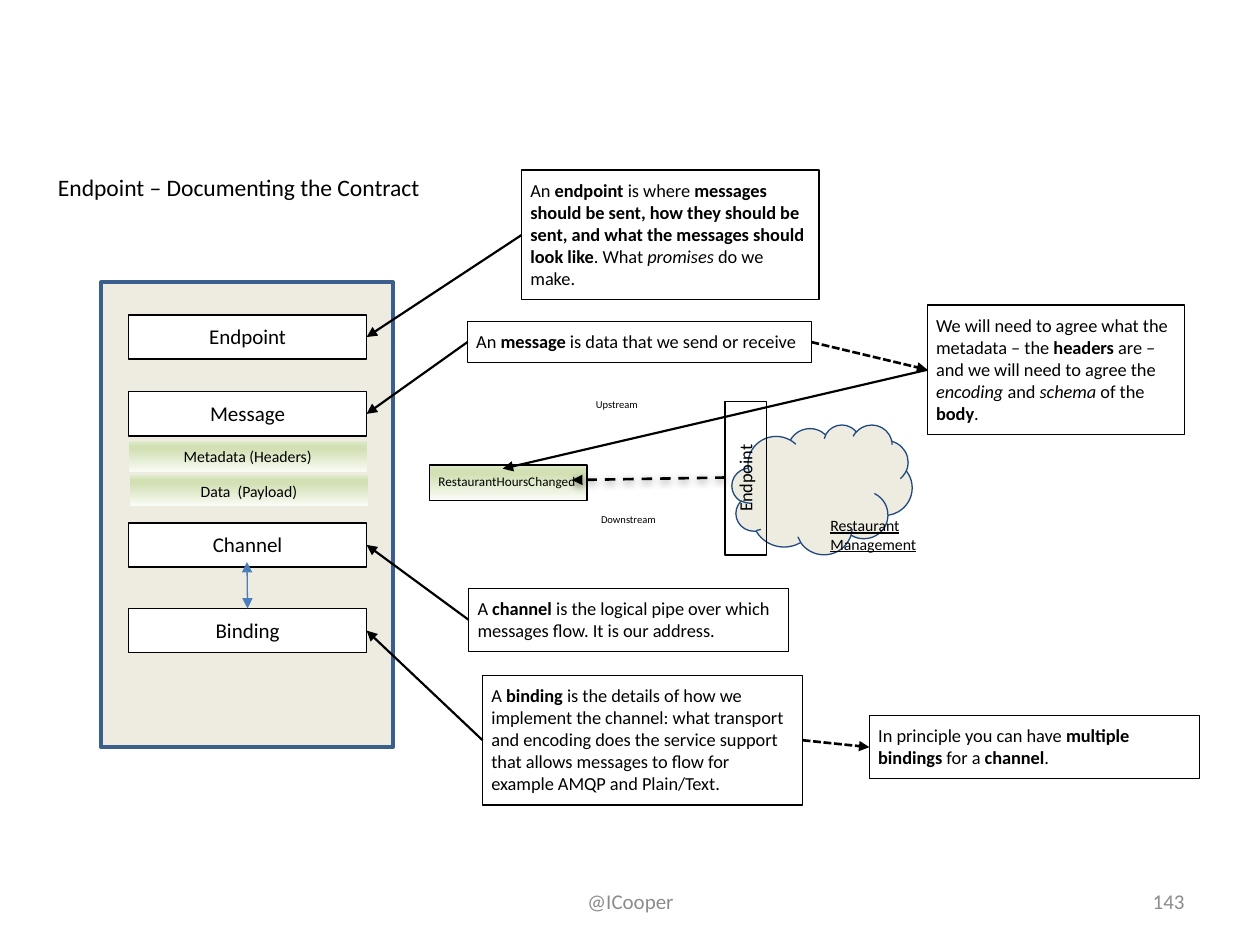
from dataclasses import dataclass
from typing import Optional

import pptx
import pptx.dml.color
import pptx.enum.dml
import pptx.enum.shapes
import pptx.enum.text
import pptx.oxml
import pptx.oxml.ns
import pptx.util
from lxml import etree

COLORS = {"ink": "000000", "paper": "FFFFFF", "panel": "EEECE1", "panel_edge": "3A5F8C",
          "cloud_edge": "1F497D", "link": "4B7EBC", "footer": "8C8C8C"}
BAND_STOPS = [(0, "FAFCF7"), (74, "D2E0B4"), (83, "D2E0B4"), (100, "E1EBCD")]
WIDTH, HEIGHT = pptx.util.Inches(10), pptx.util.Inches(7.5)
COLUMN, ROW = WIDTH / 100, HEIGHT / 75
INSET = pptx.util.Inches(0.07)
FONT = "Calibri"

SHAPE = pptx.enum.shapes.MSO_SHAPE
ALIGN = pptx.enum.text.PP_ALIGN
ANCHOR = pptx.enum.text.MSO_ANCHOR
DASH = pptx.enum.dml.MSO_LINE
TOP, LEFT, RIGHT = 0, 1, 3


@dataclass
class Box:
    """A shape placed in grid columns and rows; *bold* and _italic_ mark its text."""
    at: tuple[float, float, float, float]
    text: str = ""
    size: float = 10.5
    align: ALIGN = ALIGN.LEFT
    fill: Optional[str] = None
    line: Optional[str] = "ink"
    weight: float = 0.75
    kind: SHAPE = SHAPE.RECTANGLE
    rotation: float = 0
    underline: bool = False
    color: str = "ink"
    anchor: ANCHOR = ANCHOR.TOP
    inset: bool = True


@dataclass
class Arrow:
    """An arrow whose ends are a grid point or a (box name, side) pair."""
    start: tuple
    end: tuple
    weight: float = 1.25
    dash: Optional[DASH] = None
    color: str = "ink"
    both_ends: bool = False
    shadow: bool = False


def stage(row: float, name: str) -> Box:
    return Box((10.2, row, 18.9, 3.5), name, 12, ALIGN.CENTER, "paper")


def band(column: float, row: float, name: str) -> Box:
    return Box((column, row, 18.9, 2.5), name, 9, ALIGN.CENTER, "band", None, inset=False)


def label(at: tuple, text: str, size: float, **options) -> Box:
    return Box(at, text, size, line=None, **options)


def footer(at: tuple, text: str, align: ALIGN) -> Box:
    return label(at, text, 12, align=align, color="footer", anchor=ANCHOR.MIDDLE, inset=False)


BOXES = {
    "panel": Box((8, 22.4, 23.2, 36.9), fill="panel", line="panel_edge", weight=2),
    "cloud": Box((58.1, 33.7, 14.3, 10.3), fill="panel", line="cloud_edge", kind=SHAPE.CLOUD),
    "cloud name": label((65.2, 40.2, 9.8, 4.5), "Restaurant Management", 9, underline=True),
    "event": Box((34.1, 36.9, 12.5, 2.8), "RestaurantHoursChanged", 7.5, fill="band"),
    "upstream": label((46.6, 31.1, 5.4, 2.5), "Upstream", 6),
    "downstream": label((47, 40.2, 6.2, 2.5), "Downstream", 6),
    "endpoint": stage(25, "Endpoint"),
    "message": stage(31.1, "Message"),
    "channel": stage(41.5, "Channel"),
    "binding": stage(48.3, "Binding"),
    "metadata": band(10.2, 35, "Metadata (Headers)"),
    "data": band(10.3, 37.7, "Data  (Payload)"),
    "cloud endpoint": Box((53.1, 36.3, 12.2, 3.3), "Endpoint", align=ALIGN.CENTER, rotation=270),
    "endpoint note": Box((41.4, 13.5, 23.6, 10.3),
                         "An *endpoint *is where* messages should be sent, how they should be sent, "
                         "and what the messages should look like*. What _promises_ do we make."),
    "message note": Box((37.1, 25.5, 27.3, 3.3), "An *message *is data that we send or receive"),
    "channel note": Box((37.2, 46.7, 25.4, 5),
                        "A *channel *is the logical pipe over which messages flow. It is our address."),
    "binding note": Box((38.3, 53.6, 25.4, 10.3),
                        "A *binding *is the details of how we implement the channel: what transport "
                        "and encoding does the service support that allows messages to flow for "
                        "example AMQP and Plain/Text."),
    "bindings note": Box((69, 56.8, 26.2, 5),
                         "In principle you can have *multiple bindings* for a *channel*."),
    "headers note": Box((73.6, 24.2, 20.4, 10.3),
                        "We will need to agree what the metadata – the *headers* are – and we will "
                        "need to agree the _encoding_ and _schema_ of the *body*."),
    "handle": footer((34.2, 69.5, 31.7, 4), "@ICooper", ALIGN.CENTER),
    "number": footer((71.7, 69.5, 23.3, 4), "143", ALIGN.RIGHT),
}
ARROWS = [
    *(Arrow((f"{name} note", LEFT), (name, RIGHT))
      for name in ("endpoint", "message", "channel", "binding")),
    Arrow((57.6, 37.9), (45.4, 38.1), 1.5, DASH.DASH, shadow=True),
    Arrow((19.6, 44.6), ("binding", TOP), 0.75, color="link", both_ends=True),
    Arrow(("headers note", LEFT), (39.9, 37.2)),
    Arrow(("message note", RIGHT), ("headers note", LEFT), 1.5, DASH.SQUARE_DOT),
    Arrow(("binding note", RIGHT), ("bindings note", LEFT), 1.5, DASH.SQUARE_DOT),
]


def rgb(name: str) -> pptx.dml.color.RGBColor:
    return pptx.dml.color.RGBColor.from_string(COLORS[name])


def add_element(parent, tag: str, **attributes):
    return etree.SubElement(parent, pptx.oxml.ns.qn(tag), attributes)


def place(sp, at: tuple) -> None:
    left, top, width, height = at
    sp.left, sp.width = int(left * COLUMN), int(width * COLUMN)
    sp.top, sp.height = int(top * ROW), int(height * ROW)


def write(tf, box: Box) -> None:
    tf.word_wrap = True
    tf.vertical_anchor = box.anchor
    if box.inset:
        tf.margin_left = tf.margin_right = tf.margin_top = tf.margin_bottom = INSET
    if box.anchor == ANCHOR.TOP:
        tf.auto_size = pptx.enum.text.MSO_AUTO_SIZE.SHAPE_TO_FIT_TEXT
    p = tf.paragraphs[0]
    p.alignment = box.align
    for i, part in enumerate(box.text.split("*")):
        for j, piece in enumerate(part.split("_")):
            if not piece:
                continue
            r = p.add_run()
            r.text = piece
            r.font.name, r.font.size = FONT, pptx.util.Pt(box.size)
            r.font.bold, r.font.italic = i % 2 == 1, j % 2 == 1
            r.font.underline = box.underline
            r.font.color.rgb = rgb(box.color)


def fill_band(sp) -> None:
    """Fade the shape from green at the top to near white at the bottom."""
    sp.fill.gradient()
    sp.fill.gradient_angle = 90
    stops = sp._element.spPr.find(".//" + pptx.oxml.ns.qn("a:gsLst"))
    for stop in list(stops):
        stops.remove(stop)
    for percent, color in BAND_STOPS:
        add_element(add_element(stops, "a:gs", pos=str(percent * 1000)), "a:srgbClr", val=color)


def draw_box(s, box: Box):
    if box.line is None and box.fill is None:
        sp = s.shapes.add_textbox(0, 0, 0, 0)
    else:
        sp = s.shapes.add_shape(box.kind, 0, 0, 0, 0)
        sp.shadow.inherit = False
        if box.fill == "band":
            fill_band(sp)
        elif box.fill:
            sp.fill.solid()
            sp.fill.fore_color.rgb = rgb(box.fill)
        else:
            sp.fill.background()
        if box.line:
            sp.line.color.rgb = rgb(box.line)
            sp.line.width = pptx.util.Pt(box.weight)
        else:
            sp.line.fill.background()
    place(sp, box.at)
    sp.rotation = box.rotation
    if box.text:
        write(sp.text_frame, box)
    return sp


def draw_arrow(s, arrow: Arrow, shapes: dict) -> None:
    points = [(0, 0) if isinstance(end[0], str) else (int(end[0] * COLUMN), int(end[1] * ROW))
              for end in (arrow.start, arrow.end)]
    line = s.shapes.add_connector(pptx.enum.shapes.MSO_CONNECTOR.STRAIGHT, *points[0], *points[1])
    for end, connect in ((arrow.start, line.begin_connect), (arrow.end, line.end_connect)):
        if isinstance(end[0], str):
            connect(shapes[end[0]], end[1])
    line.line.color.rgb = rgb(arrow.color)
    line.line.width = pptx.util.Pt(arrow.weight)
    if arrow.dash:
        line.line.dash_style = arrow.dash
    ln = line.line._get_or_add_ln()
    if arrow.both_ends:
        add_element(ln, "a:headEnd", type="triangle")
    add_element(ln, "a:tailEnd", type="triangle")
    effects = add_element(line._element.spPr, "a:effectLst")
    if arrow.shadow:
        shadow = add_element(effects, "a:outerShdw", blurRad=str(pptx.util.Pt(4.5)),
                             dist=str(pptx.util.Pt(1.5)), dir="5400000", rotWithShape="0")
        add_element(add_element(shadow, "a:srgbClr", val=COLORS["ink"]), "a:alpha", val="50000")


def main() -> None:
    prs = pptx.Presentation()
    prs.slide_width, prs.slide_height = WIDTH, HEIGHT
    s = prs.slides.add_slide(prs.slide_layouts[5])
    title = label((3.9, 13, 64.9, 3.8), "Endpoint – Documenting the Contract", 13.5)
    place(s.shapes.title, title.at)
    write(s.shapes.title.text_frame, title)
    shapes = {name: draw_box(s, box) for name, box in BOXES.items()}
    for arrow in ARROWS:
        draw_arrow(s, arrow, shapes)
    prs.save("out.pptx")


if __name__ == "__main__":
    main()
